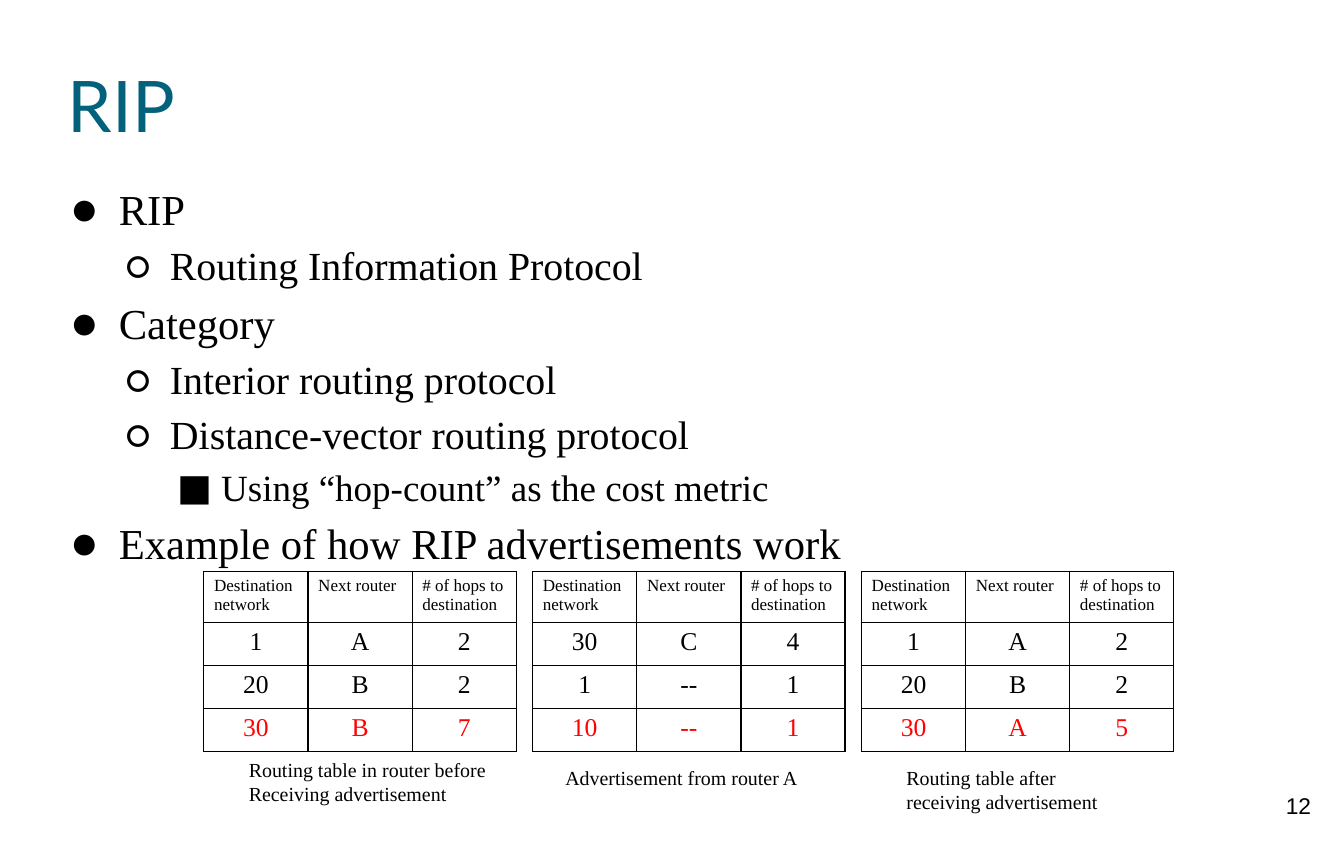
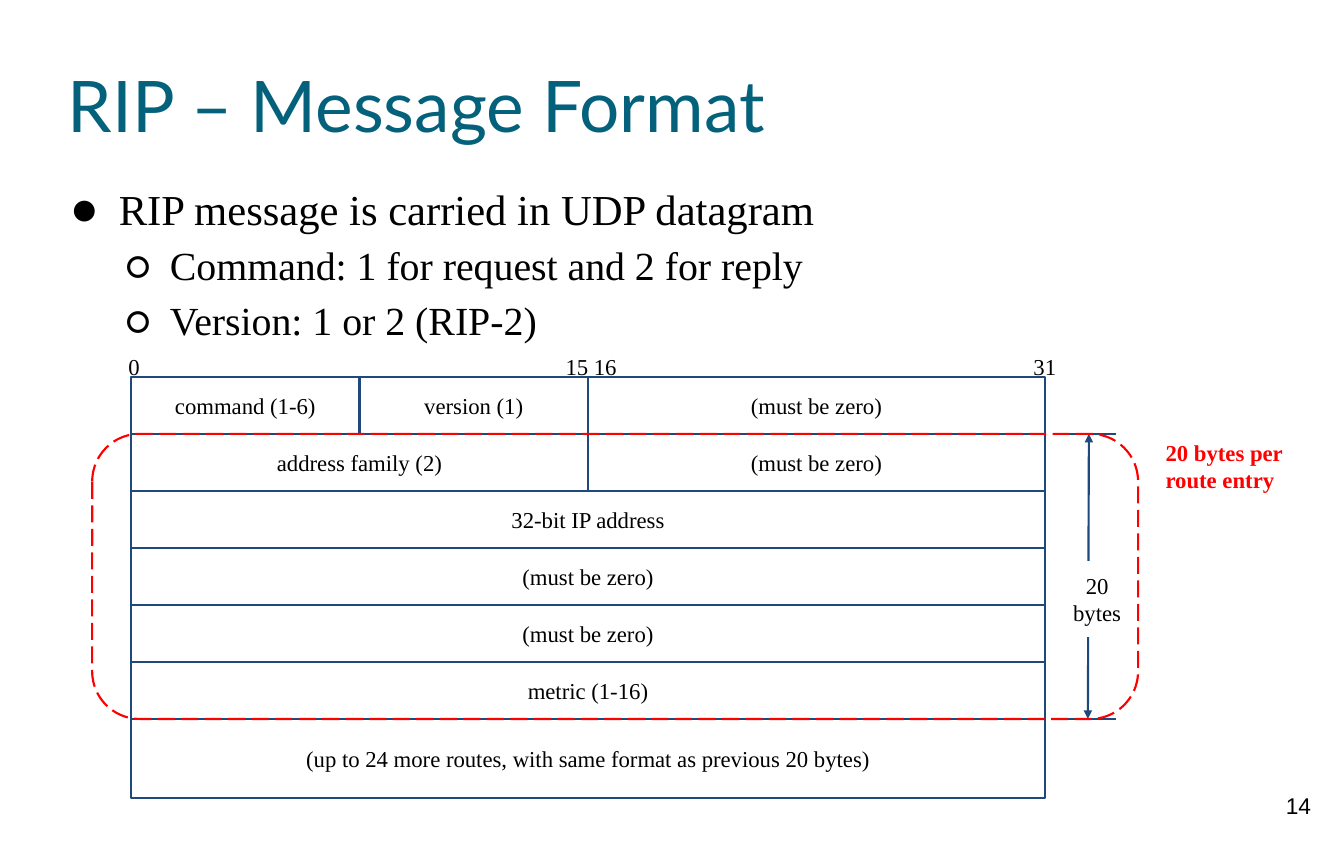
from dataclasses import dataclass

from lxml import etree
from pptx import Presentation
from pptx.dml.color import RGBColor
from pptx.enum.dml import MSO_LINE
from pptx.enum.shapes import MSO_CONNECTOR, MSO_SHAPE
from pptx.enum.text import MSO_ANCHOR, MSO_AUTO_SIZE, PP_ALIGN
from pptx.oxml.ns import qn
from pptx.util import Inches, Pt

LEFT, CENTER = PP_ALIGN.LEFT, PP_ALIGN.CENTER
TOP, MIDDLE = MSO_ANCHOR.TOP, MSO_ANCHOR.MIDDLE
RECT, ROUNDED = MSO_SHAPE.RECTANGLE, MSO_SHAPE.ROUNDED_RECTANGLE
STRAIGHT, LONG_DASH = MSO_CONNECTOR.STRAIGHT, MSO_LINE.LONG_DASH
NO_AUTOFIT = MSO_AUTO_SIZE.NONE
TITLE_ONLY = 5


@dataclass(frozen=True)
class Theme:
    """Colours, fonts and type sizes of the deck."""

    black: str = "000000"
    white: str = "FFFFFF"
    teal: str = "04617B"
    navy: str = "1F497D"
    red: str = "FF0000"
    title_font: str = "Lato"
    body_font: str = "Times New Roman"
    number_font: str = "Arial"
    title: int = 50
    cell: int = 18
    label: int = 16
    caption: int = 14
    header: int = 12
    line: float = 1.5


T = Theme()
LEVELS = (("●", 30, 0.5, 0.46), ("○", 28, 1, 0.44), ("■", 26, 1.5, 0.43))
HEADER = ("Destination\nnetwork", "Next router", "# of hops to\ndestination")
ROUTES_BEFORE = (("1", "A", "2"), ("20", "B", "2"), ("30", "B", "7"))
ADVERTISED = (("30", "C", "4"), ("1", "--", "1"), ("10", "--", "1"))
ROUTES_AFTER = (("1", "A", "2"), ("20", "B", "2"), ("30", "A", "5"))
FIELD_ROWS = (
    (("command (1-6)", 1), ("version (1)", 1), ("(must be zero)", 2)),
    (("address family (2)", 2), ("(must be zero)", 2)),
    (("32-bit IP address", 4),),
    (("(must be zero)", 4),),
    (("(must be zero)", 4),),
    (("metric (1-16)", 4),),
)


def rgb(color):
    """Turn a hex string into a colour."""
    return RGBColor.from_string(color)


def inches(*lengths):
    """Convert several lengths at once."""
    return [Inches(n) for n in lengths]


def write(tf, text, size=T.label, color=T.black, font=T.body_font, bold=False,
          align=LEFT, anchor=TOP, inset=(0.1, 0.1)):
    """Write text into a frame, one paragraph for each line."""
    tf.word_wrap = True
    tf.vertical_anchor = anchor
    tf.margin_left = tf.margin_right = Inches(inset[0])
    tf.margin_top = tf.margin_bottom = Inches(inset[1])
    for i, line in enumerate(text.split("\n")):
        p = tf.paragraphs[0] if i == 0 else tf.add_paragraph()
        p.alignment = align
        r = p.add_run()
        r.text = line
        r.font.size, r.font.name, r.font.bold = Pt(size), font, bold
        r.font.color.rgb = rgb(color)


def add_text(s, box, text, **fmt):
    """Add a text box."""
    write(s.shapes.add_textbox(*inches(*box)).text_frame, text, **fmt)


def add_box(s, box, kind=RECT, line=None, fill=None, text=None, **fmt):
    """Add a flat shape, with centred text if there is any."""
    sp = s.shapes.add_shape(kind, *inches(*box))
    sp.shadow.inherit = False
    if fill:
        sp.fill.solid()
        sp.fill.fore_color.rgb = rgb(fill)
    else:
        sp.fill.background()
    if line:
        sp.line.color.rgb = rgb(line)
        sp.line.width = Pt(T.line)
    else:
        sp.line.fill.background()
    if text:
        write(sp.text_frame, text, align=CENTER, **fmt)
    return sp


def add_line(s, x1, y1, x2, y2, arrows=False):
    """Add a straight line, with arrowheads at both ends on request."""
    c = s.shapes.add_connector(STRAIGHT, *inches(x1, y1, x2, y2))
    c.line.color.rgb = rgb(T.navy)
    c.line.width = Pt(T.line)
    if arrows:
        for end in ("a:headEnd", "a:tailEnd"):
            etree.SubElement(c.line._get_or_add_ln(), qn(end), type="triangle")
    etree.SubElement(c._element.spPr, qn("a:effectLst"))


def add_bullets(s, box, items):
    """Add a bulleted list of (level, text) items."""
    tf = s.shapes.add_textbox(*inches(*box)).text_frame
    write(tf, "\n".join(text for _, text in items), inset=(0, 0))
    for p, (level, _) in zip(tf.paragraphs, items):
        char, size, margin, hang = LEVELS[level]
        p.level = level
        p.line_spacing = 1.15
        pPr = p._p.get_or_add_pPr()
        pPr.set("marL", str(Inches(margin)))
        pPr.set("indent", str(-Inches(hang)))
        clr = etree.SubElement(pPr, qn("a:buClr"))
        etree.SubElement(clr, qn("a:srgbClr"), val=T.black)
        etree.SubElement(pPr, qn("a:buFont"), typeface=T.title_font)
        etree.SubElement(pPr, qn("a:buChar"), char=char)
        p.runs[0].font.size = Pt(size)


def set_borders(cell):
    """Draw a thin black line on each side of a cell."""
    tcPr = cell._tc.get_or_add_tcPr()
    for side in ("a:lnL", "a:lnR", "a:lnT", "a:lnB"):
        ln = etree.SubElement(tcPr, qn(side), w=str(Pt(1)))
        fill = etree.SubElement(ln, qn("a:solidFill"))
        etree.SubElement(fill, qn("a:srgbClr"), val=T.black)


def add_routes(s, x, y, routes):
    """Add a routing table whose last row is in red."""
    rows = (HEADER, *routes)
    heights = [0.5] + [0.42] * len(routes)
    tbl = s.shapes.add_table(len(rows), len(HEADER),
                             *inches(x, y, 3.05, sum(heights))).table
    tbl.first_row = tbl.horz_banding = False
    for i, row in enumerate(rows):
        tbl.rows[i].height = Inches(heights[i])
        size, align = (T.cell, CENTER) if i else (T.header, LEFT)
        color = T.red if i == len(routes) else T.black
        for j, text in enumerate(row):
            cell = tbl.cell(i, j)
            write(cell.text_frame, text, size=size, color=color, align=align)
            cell.margin_left = cell.margin_right = Inches(0.1)
            cell.margin_top = cell.margin_bottom = Inches(0.05)
            set_borders(cell)
            cell.fill.background()


def add_message(s, x, y, w, h):
    """Draw the message fields, bit ruler, byte bracket and entry outline."""
    last = 0.77
    row_h = (h - last) / len(FIELD_ROWS)
    unit = w / 4
    right, entry, end = x + w, y + row_h, y + h - last
    for dx, bits in ((0.03, "0"), (w / 2 + 0.03, "15 16"), (w, "31")):
        add_text(s, (x + dx - 0.4, y - 0.34, 0.8, 0.47), bits, align=CENTER)
    add_line(s, right + 0.43, entry, right + 0.42, end, arrows=True)
    for edge in (entry, end):
        add_line(s, right + 0.15, edge, right + 0.69, edge)
    add_box(s, (right + 0.09, y + 1.8, 0.84, 0.74), fill=T.white,
            text="20 bytes")
    for i, fields in enumerate(FIELD_ROWS):
        left = x
        for text, span in fields:
            add_box(s, (left, y + i * row_h, span * unit, row_h),
                    line=T.navy, text=text, anchor=MIDDLE)
            left += span * unit
    add_box(s, (x, end, w, last), line=T.navy, anchor=MIDDLE,
            text="(up to 24 more routes, with same format as previous 20 bytes)")
    outline = add_box(s, (x - 0.38, entry, w + 1.29, end - entry),
                      kind=ROUNDED, line=T.red)
    outline.adjustments[0] = 0.167
    outline.line.dash_style = LONG_DASH
    add_text(s, (right + 1.08, entry, 1.35, 0.64), "20 bytes per\nroute entry",
             color=T.red, bold=True, inset=(0.1, 0.05))


def new_slide(prs, title, number):
    """Add a slide with its title and page number."""
    s = prs.slides.add_slide(prs.slide_layouts[TITLE_ONLY])
    sp = s.shapes.title
    sp.left, sp.top, sp.width, sp.height = inches(0.66, 0.33, 11.81, 1.38)
    write(sp.text_frame, title, size=T.title, color=T.teal, font=T.title_font,
          anchor=MIDDLE, inset=(0, 0))
    sp.text_frame.auto_size = NO_AUTOFIT
    add_text(s, (12.28, 7.63, 0.79, 0.63), number, font=T.number_font,
             align=CENTER)
    return s


def rip_slide(prs):
    """Build the overview with three routing tables."""
    s = new_slide(prs, "RIP", "12")
    add_bullets(s, (0.66, 1.71, 11.84, 3.87), (
        (0, "RIP"),
        (1, "Routing Information Protocol"),
        (0, "Category"),
        (1, "Interior routing protocol"),
        (1, "Distance-vector routing protocol"),
        (2, "Using “hop-count” as the cost metric"),
        (0, "Example of how RIP advertisements work"),
    ))
    x, y, pitch = 1.99, 5.58, 3.21
    tables = (
        (ROUTES_BEFORE, 0.34, 1.77,
         "Routing table in router before\nReceiving advertisement"),
        (ADVERTISED, 0.22, 1.85, "Advertisement from router A"),
        (ROUTES_AFTER, 0.34, 1.85,
         "Routing table after\nreceiving advertisement"),
    )
    for i, (routes, dx, dy, caption) in enumerate(tables):
        left = x + i * pitch
        add_routes(s, left, y, routes)
        add_text(s, (left + dx, y + dy, 2.71, 0.57), caption, size=T.caption,
                 inset=(0.1, 0.05))


def message_slide(prs):
    """Build the message format diagram."""
    s = new_slide(prs, "RIP – Message Format", "14")
    add_bullets(s, (0.66, 1.71, 11.84, 1.66), (
        (0, "RIP message is carried in UDP datagram"),
        (1, "Command: 1 for request and 2 for reply"),
        (1, "Version: 1 or 2 (RIP-2)"),
    ))
    add_message(s, 1.28, 3.68, 8.92, 4.11)


def main():
    """Build and save the deck."""
    prs = Presentation()
    prs.slide_width, prs.slide_height = inches(13.12, 8.27)
    rip_slide(prs)
    message_slide(prs)
    prs.save("out.pptx")


if __name__ == "__main__":
    main()
